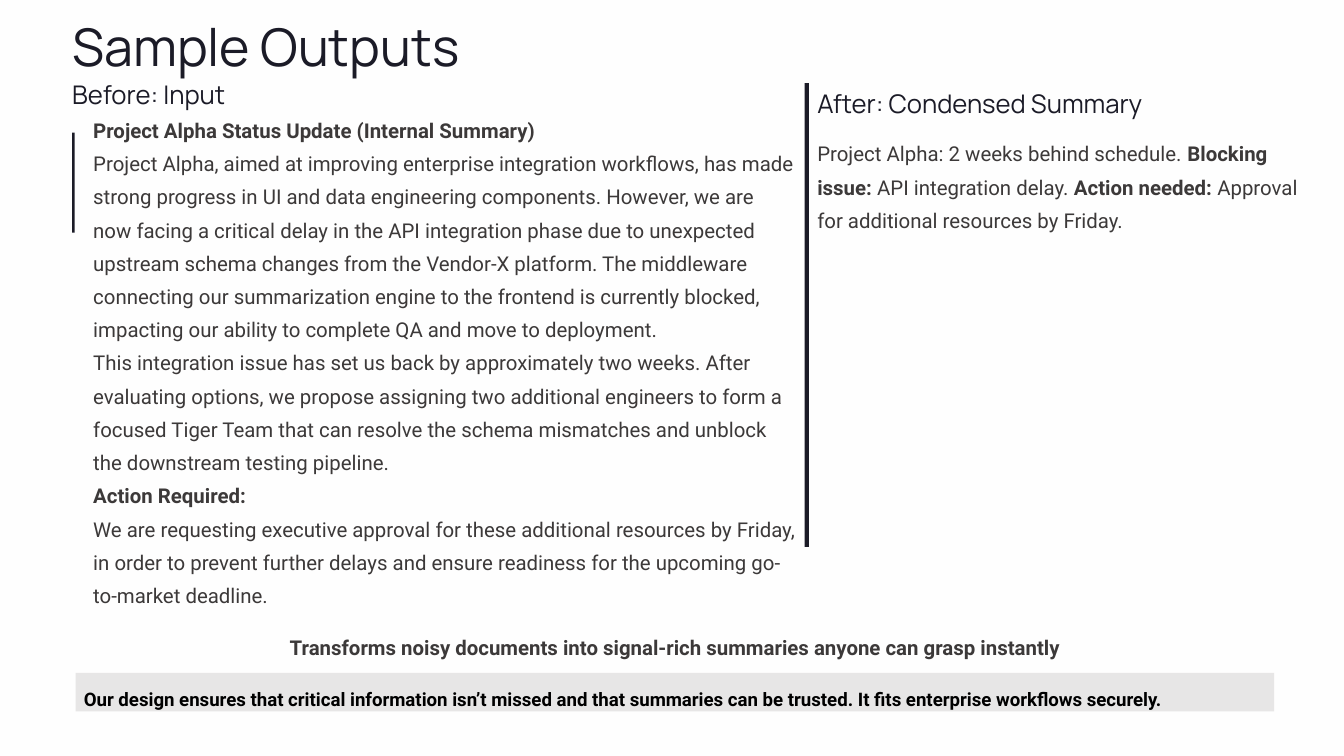
from dataclasses import dataclass

from pptx import Presentation
from pptx import util as u
from pptx.dml import color
from pptx.enum import shapes, text


@dataclass(frozen=True)
class Theme:
    backdrop: str = "FEFEFE"
    ink: str = "1B1B27"
    prose: str = "3C3939"
    band: str = "E7E6E6"
    closing: str = "000000"
    display_font: str = "Manrope"
    text_font: str = "Roboto"
    title_size: float = 44.5
    heading_size: float = 22
    prose_size: float = 17.5
    closing_size: float = 16


THEME = Theme()
TITLE = dict(size=THEME.title_size, name=THEME.display_font, color=THEME.ink, leading=u.Pt(55.5))
HEADING = dict(size=THEME.heading_size, name=THEME.display_font, color=THEME.ink, leading=u.Pt(27.5))
PROSE = dict(size=THEME.prose_size, name=THEME.text_font, color=THEME.prose, leading=u.Pt(28.5))
CLOSING = dict(size=THEME.closing_size, name=THEME.text_font, color=THEME.closing, leading=1.5)

REPORT = [
    [("Project Alpha Status Update (Internal Summary)", True)],
    [("Project Alpha, aimed at improving enterprise integration workflows, has made strong "
      "progress in UI and data engineering components. However, we are now facing a critical "
      "delay in the API integration phase due to unexpected upstream schema changes from the "
      "Vendor-X platform. The middleware connecting our summarization engine to the frontend is "
      "currently blocked, impacting our ability to complete QA and move to deployment.", False)],
    [("This integration issue has set us back by approximately two weeks. After evaluating "
      "options, we propose assigning two additional engineers to form a focused Tiger Team that "
      "can resolve the schema mismatches and unblock the downstream testing pipeline.", False)],
    [("Action Required:", True)],
    [("We are requesting executive approval for these additional resources by Friday, in order "
      "to prevent further delays and ensure readiness for the upcoming go-to-market deadline.",
      False)],
]
SUMMARY = [[
    ("Project Alpha: 2 weeks behind schedule. ", False),
    ("Blocking issue: ", True),
    ("API integration delay. ", False),
    ("Action needed: ", True),
    ("Approval for additional resources by Friday.", False),
]]
TAKEAWAY = "Transforms noisy documents into signal-rich summaries anyone can grasp instantly"
ASSURANCE = ("Our design ensures that critical information isn’t missed and that summaries can be "
             "trusted. It fits enterprise workflows securely.")


def apply(target, values):
    for attribute, value in values.items():
        setattr(target, attribute, value)


def place(shape, box):
    apply(shape, dict(zip(("left", "top", "width", "height"), map(u.Inches, box))))


def write(frame, paragraphs, style, wrap=True, align=text.PP_ALIGN.LEFT, margins=(0, 0)):
    side, end = map(u.Inches, margins)
    apply(frame, dict(
        word_wrap=wrap, auto_size=text.MSO_AUTO_SIZE.NONE,
        vertical_anchor=text.MSO_ANCHOR.TOP,
        margin_left=side, margin_right=side, margin_top=end, margin_bottom=end,
    ))
    for index, runs in enumerate(paragraphs):
        paragraph = frame.add_paragraph() if index else frame.paragraphs[0]
        apply(paragraph, dict(alignment=align, line_spacing=style["leading"]))
        for words, bold in runs:
            run = paragraph.add_run()
            run.text = words
            apply(run.font, dict(size=u.Pt(style["size"]), name=style["name"], bold=bold))
            run.font.color.rgb = color.RGBColor.from_string(style["color"])


def add_text(slide, box, paragraphs, style, **layout):
    label = slide.shapes.add_textbox(*map(u.Inches, box))
    write(label.text_frame, paragraphs, style, **layout)


def add_block(slide, box, fill):
    block = slide.shapes.add_shape(shapes.MSO_SHAPE.RECTANGLE, *map(u.Inches, box))
    block.shadow.inherit = False
    block.fill.solid()
    block.fill.fore_color.rgb = color.RGBColor.from_string(fill)
    block.line.fill.background()
    return block


def add_title(slide, box, words):
    place(slide.shapes.title, box)
    write(slide.shapes.title.text_frame, [[(words, False)]], TITLE, wrap=False)


def add_column(slide, heading, heading_box, content, content_box, rule_box):
    add_text(slide, heading_box, [[(heading, False)]], HEADING, wrap=False)
    add_text(slide, content_box, content, PROSE)
    add_block(slide, rule_box, THEME.ink)


def main():
    deck = Presentation()
    apply(deck, dict(slide_width=u.Inches(16), slide_height=u.Inches(9)))
    slide = deck.slides.add_slide(deck.slide_layouts[5])
    slide.background.fill.solid()
    slide.background.fill.fore_color.rgb = color.RGBColor.from_string(THEME.backdrop)

    add_title(slide, (0.86, 0.14, 6.2, 0.78), "Sample Outputs")
    add_column(slide, "Before: Input", (0.86, 0.92, 3.1, 0.39),
               REPORT, (1.11, 1.3, 8.38, 5.94), (0.86, 1.58, 0.03, 1.19))
    add_column(slide, "After: Condensed Summary", (9.73, 1.03, 3.9, 0.39),
               SUMMARY, (9.73, 1.58, 6.03, 1.19), (9.58, 0.99, 0.05, 5.52))
    add_text(slide, (0.78, 7.46, 14.52, 0.38), [[(TAKEAWAY, True)]], PROSE,
             wrap=False, align=text.PP_ALIGN.CENTER)
    assurance = add_block(slide, (0.9, 8.01, 14.27, 0.46), THEME.band)
    write(assurance.text_frame, [[(ASSURANCE, True)]], CLOSING, margins=(0.1, 0.05))
    deck.save("out.pptx")


if __name__ == "__main__":
    main()
